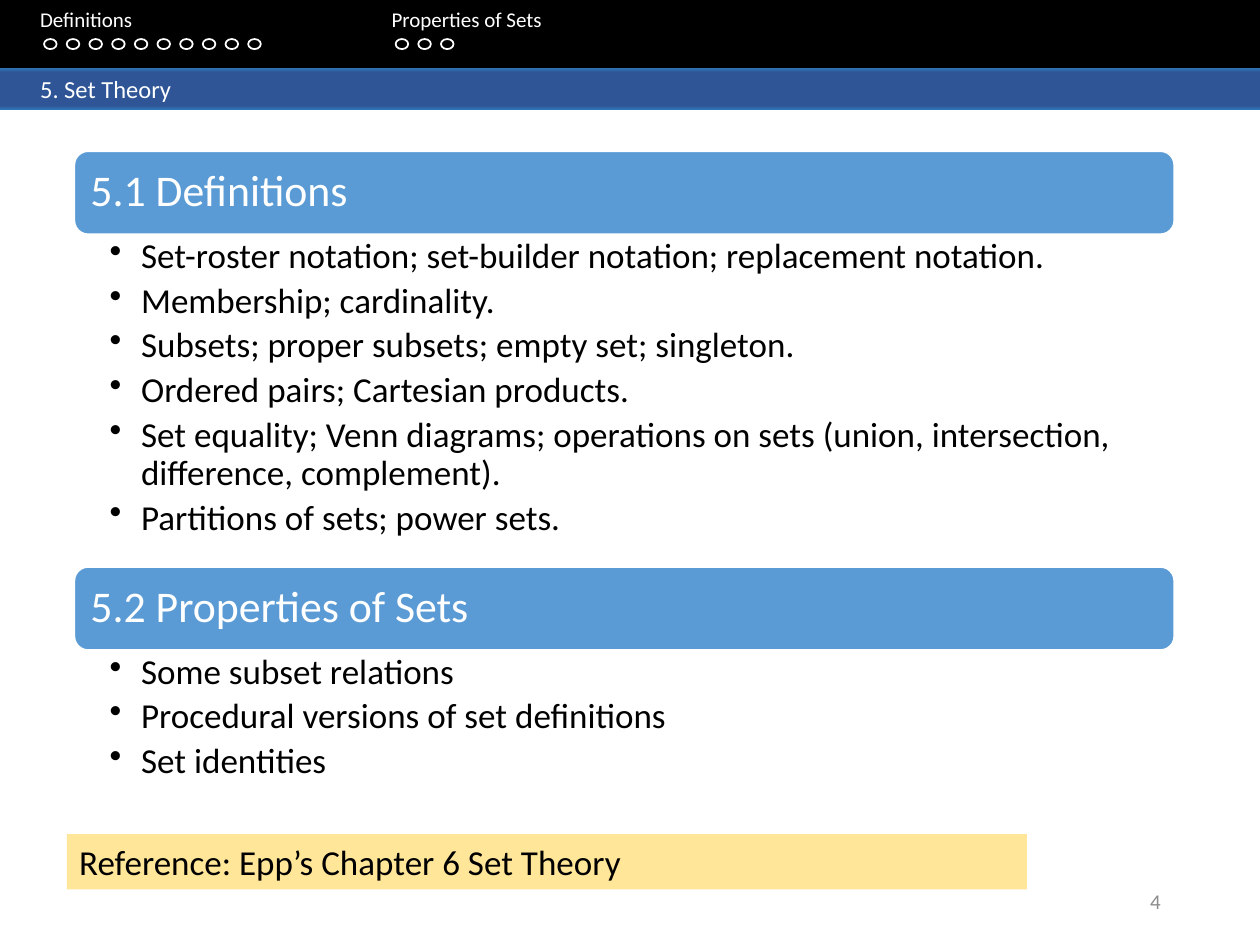
from lxml.etree import SubElement
from pptx import Presentation
from pptx.dml.color import RGBColor
from pptx.enum.shapes import MSO_SHAPE as Preset
from pptx.enum.text import MSO_ANCHOR as Anchor, PP_ALIGN as Align
from pptx.oxml.ns import qn
from pptx.util import Inches, Pt

COLORS = {
    "white": "FFFFFF", "black": "000000", "heading": "5B9BD5",
    "reference": "FFE699", "edge": "2E75B6", "band": "2F5597", "number": "8C8C8C",
}
FONT = "Calibri"
BAND_STOPS = [(0, "edge"), (11, "band"), (91, "band"), (100, "edge")]
DOT_ROWS = [(0.35, 10), (3.14, 3)]
DOT_STEP = 0.18
SECTIONS = [
    (1.2, 2.64, "5.1 Definitions", [
        "Set-roster notation; set-builder notation; replacement notation.",
        "Membership; cardinality.",
        "Subsets; proper subsets; empty set; singleton.",
        "Ordered pairs; Cartesian products.",
        "Set equality; Venn diagrams; operations on sets "
        "(union, intersection, difference, complement).",
        "Partitions of sets; power sets.",
    ]),
    (4.5, 1.13, "5.2 Properties of Sets", [
        "Some subset relations",
        "Procedural versions of set definitions",
        "Set identities",
    ]),
]


def color(name):
    """Return the named colour."""
    return RGBColor.from_string(COLORS[name])


def add_box(slide, preset, box, fill=None, line=None):
    """Add a preset shape with an optional fill and a 1 pt outline."""
    shape = slide.shapes.add_shape(preset, *map(Inches, box))
    shape.shadow.inherit = False
    if fill:
        shape.fill.solid()
        shape.fill.fore_color.rgb = color(fill)
    else:
        shape.fill.background()
    if line:
        shape.line.color.rgb = color(line)
        shape.line.width = Pt(1)
    else:
        shape.line.fill.background()
    return shape


def set_gradient(shape, stops):
    """Fill a shape with a vertical gradient."""
    shape.fill.gradient()
    shape.fill.gradient_angle = 270
    stop_list = shape._element.spPr.find(".//" + qn("a:gsLst"))
    for stop in list(stop_list):
        stop_list.remove(stop)
    for percent, name in stops:
        stop = SubElement(stop_list, qn("a:gs"), pos=str(percent * 1000))
        SubElement(stop, qn("a:srgbClr"), val=COLORS[name])


def set_frame(shape, margins=(0.1, 0.05, 0.1, 0.05), anchor=Anchor.TOP):
    """Prepare a wrapping text frame and return it."""
    frame = shape.text_frame
    frame.word_wrap = True
    frame.vertical_anchor = anchor
    (frame.margin_left, frame.margin_top,
     frame.margin_right, frame.margin_bottom) = map(Inches, margins)
    return frame


def add_textbox(slide, box, **frame_options):
    """Add a text box and return its text frame."""
    return set_frame(slide.shapes.add_textbox(*map(Inches, box)), **frame_options)


def add_run(paragraph, text, size, name, align=Align.LEFT):
    """Add a formatted run to a paragraph."""
    paragraph.alignment = align
    run = paragraph.add_run()
    run.text = text
    run.font.name = FONT
    run.font.size = Pt(size)
    run.font.color.rgb = color(name)


def set_tabs(paragraph, positions):
    """Set left tab stops, given in inches."""
    tab_list = SubElement(paragraph._p.get_or_add_pPr(), qn("a:tabLst"))
    for position in positions:
        SubElement(tab_list, qn("a:tab"), pos=str(Inches(position)), algn="l")


def set_bullet(paragraph):
    """Give a paragraph a round bullet with a hanging indent."""
    paragraph.level = 1
    properties = paragraph._p.get_or_add_pPr()
    properties.set("marL", str(Inches(0.25)))
    properties.set("indent", str(Inches(-0.25)))
    SubElement(properties, qn("a:buChar"), char="•")


def add_section(slide, top, height, title, topics):
    """Add a heading bar with its bulleted topics below."""
    add_box(slide, Preset.ROUNDED_RECTANGLE, (0.59, top, 8.73, 0.66), "heading", "white")
    heading = add_textbox(slide, (0.62, top + 0.03, 8.66, 0.59),
                          margins=(0.1, 0.1, 0.1, 0.1), anchor=Anchor.MIDDLE)
    heading.paragraphs[0].line_spacing = 0.9
    add_run(heading.paragraphs[0], title, 25, "white")
    body = add_textbox(slide, (0.59, top + 0.66, 8.73, height),
                       margins=(0.28, 0.03, 0.19, 0.03))
    for index, topic in enumerate(topics):
        paragraph = body.add_paragraph() if index else body.paragraphs[0]
        paragraph.line_spacing = 0.9
        paragraph.space_after = Pt(4)
        set_bullet(paragraph)
        add_run(paragraph, topic, 20, "black")


def add_title_band(slide):
    """Add the gradient band with the chapter title."""
    band = add_box(slide, Preset.RECTANGLE, (0, 0.54, 10, 0.33))
    set_gradient(band, BAND_STOPS)
    paragraph = set_frame(band).paragraphs[0]
    add_run(paragraph, "\t", 9, "white")
    add_run(paragraph, "5. Set Theory", 14, "white")
    set_tabs(paragraph, [0.22])


def add_navigation(slide):
    """Add the black bar with section names and progress dots."""
    add_box(slide, Preset.RECTANGLE, (0, -0.02, 10, 0.56), "black")
    paragraph = add_textbox(slide, (0, 0, 10, 0.5)).paragraphs[0]
    add_run(paragraph, "\t", 9, "white")
    add_run(paragraph, "Definitions\tProperties of Sets", 12, "white")
    set_tabs(paragraph, [0.22, 3.01])
    for left, count in DOT_ROWS:
        for index in range(count):
            add_box(slide, Preset.OVAL, (left + index * DOT_STEP, 0.31, 0.1, 0.08),
                    line="white")


def main():
    """Build the slide and save it."""
    presentation = Presentation()
    presentation.slide_width, presentation.slide_height = Inches(10), Inches(7.5)
    slide = presentation.slides.add_slide(presentation.slide_layouts[6])
    number = add_textbox(slide, (7.06, 6.95, 2.25, 0.4), anchor=Anchor.MIDDLE)
    add_run(number.paragraphs[0], "4", 12, "number", Align.RIGHT)
    add_title_band(slide)
    for section in SECTIONS:
        add_section(slide, *section)
    add_navigation(slide)
    reference = add_box(slide, Preset.RECTANGLE, (0.53, 6.62, 7.62, 0.44), "reference")
    add_run(set_frame(reference).paragraphs[0],
            "Reference: Epp’s Chapter 6 Set Theory", 20, "black")
    presentation.save("out.pptx")


if __name__ == "__main__":
    main()
